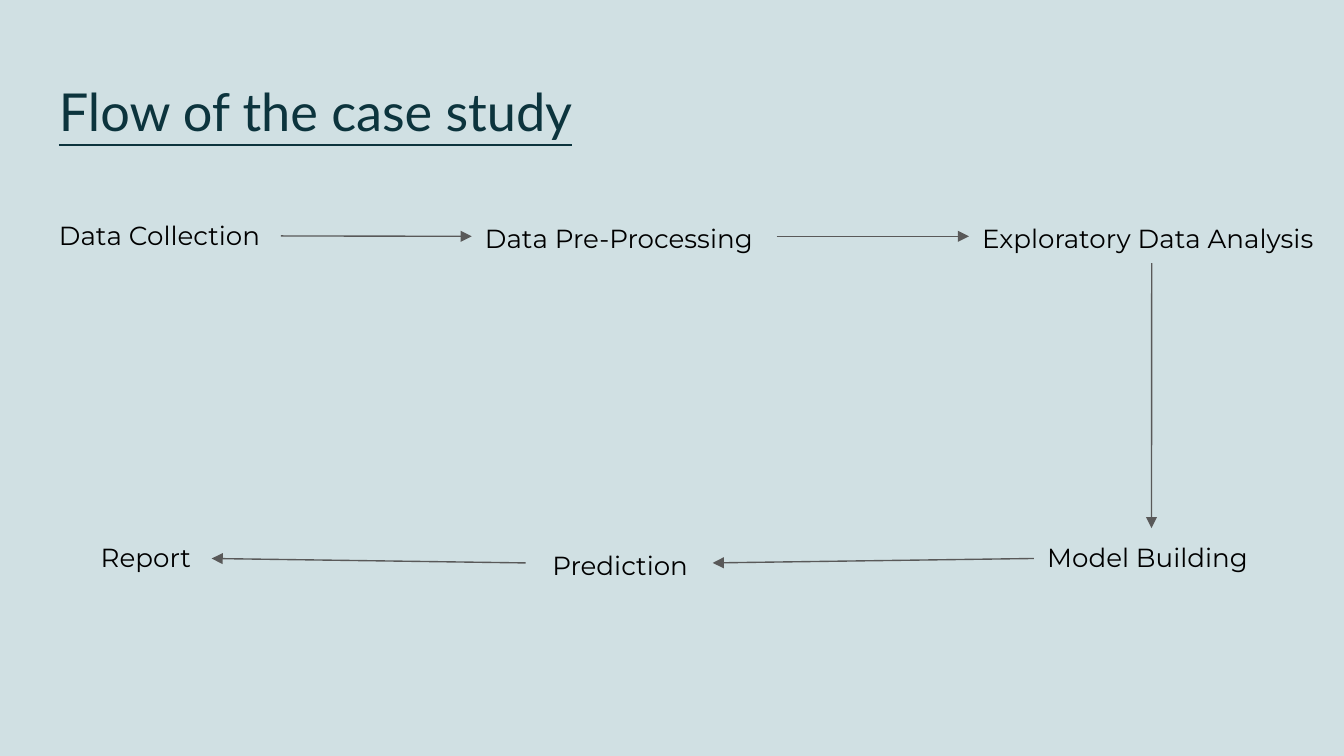
from lxml.etree import SubElement
from pptx import Presentation
from pptx.dml.color import RGBColor
from pptx.enum.shapes import MSO_CONNECTOR
from pptx.enum.text import MSO_ANCHOR
from pptx.oxml.ns import qn
from pptx.util import Pt

# Content: left, top, width, height in points
TITLE = ("Flow of the case study", (24.5, 35.3, 671, 45.4))
STEPS = {
    "Data Collection": (24.5, 110.2, 126, 32.4),
    "Data Pre-Processing": (252.7, 112.2, 163.4, 28.8),
    "Exploratory Data Analysis": (519.1, 112.2, 195.8, 28.8),
    "Model Building": (553.9, 283, 126, 32.4),
    "Prediction": (288.8, 287.2, 93, 28.8),
    "Report": (46.9, 283, 66.5, 32.4),
}
TOP, LEFT, BOTTOM, RIGHT = range(4)
# Source step, side left, target step, side reached, gap before the start
FLOWS = [
    ("Data Collection", RIGHT, "Data Pre-Processing", LEFT, 0),
    ("Data Pre-Processing", RIGHT, "Exploratory Data Analysis", LEFT, 0),
    ("Exploratory Data Analysis", BOTTOM, "Model Building", TOP, 0),
    ("Model Building", LEFT, "Prediction", RIGHT, 0),
    ("Prediction", LEFT, "Report", RIGHT, 7.2),
]
THEME = {
    "background": RGBColor.from_string("D0E0E3"),
    "title": ("Lato", 28, RGBColor.from_string("0C343D")),
    "step": ("Montserrat", 14, RGBColor.from_string("000000")),
    "arrow": RGBColor.from_string("595959"),
    "arrow_width": 0.75,
    "inset": 7.2,
}


def add_text(slide, text, box, style, underline=False):
    shape = slide.shapes.add_textbox(*map(Pt, box))
    frame = shape.text_frame
    frame.text = text
    frame.word_wrap = True
    frame.vertical_anchor = MSO_ANCHOR.TOP
    frame.margin_left = frame.margin_right = Pt(THEME["inset"])
    frame.margin_top = frame.margin_bottom = Pt(THEME["inset"])
    font = frame.paragraphs[0].runs[0].font
    font.name, size, font.color.rgb = THEME[style]
    font.size = Pt(size)
    if underline:
        font.underline = True
    return shape


def add_arrow(slide, source, source_side, target, target_side, gap):
    connector = slide.shapes.add_connector(MSO_CONNECTOR.STRAIGHT, 0, 0, 0, 0)
    if gap:  # starts clear of the left side of its source
        connector.begin_x = source.left - Pt(gap)
        connector.begin_y = source.top + source.height // 2
    else:
        connector.begin_connect(source, source_side)
    connector.end_connect(target, target_side)
    connector.line.color.rgb = THEME["arrow"]
    connector.line.width = Pt(THEME["arrow_width"])
    properties = connector.line._get_or_add_ln()
    SubElement(properties, qn("a:tailEnd"), type="triangle", w="med", len="med")
    SubElement(connector._element.spPr, qn("a:effectLst"))


def main():
    presentation = Presentation()
    presentation.slide_width, presentation.slide_height = Pt(720), Pt(405)
    slide = presentation.slides.add_slide(presentation.slide_layouts[6])
    slide.background.fill.solid()
    slide.background.fill.fore_color.rgb = THEME["background"]

    # Title
    add_text(slide, *TITLE, "title", underline=True)

    # Steps and the arrows between them
    steps = {name: add_text(slide, name, box, "step") for name, box in STEPS.items()}
    for source, source_side, target, target_side, gap in FLOWS:
        add_arrow(slide, steps[source], source_side, steps[target], target_side, gap)

    presentation.save("out.pptx")


if __name__ == "__main__":
    main()
